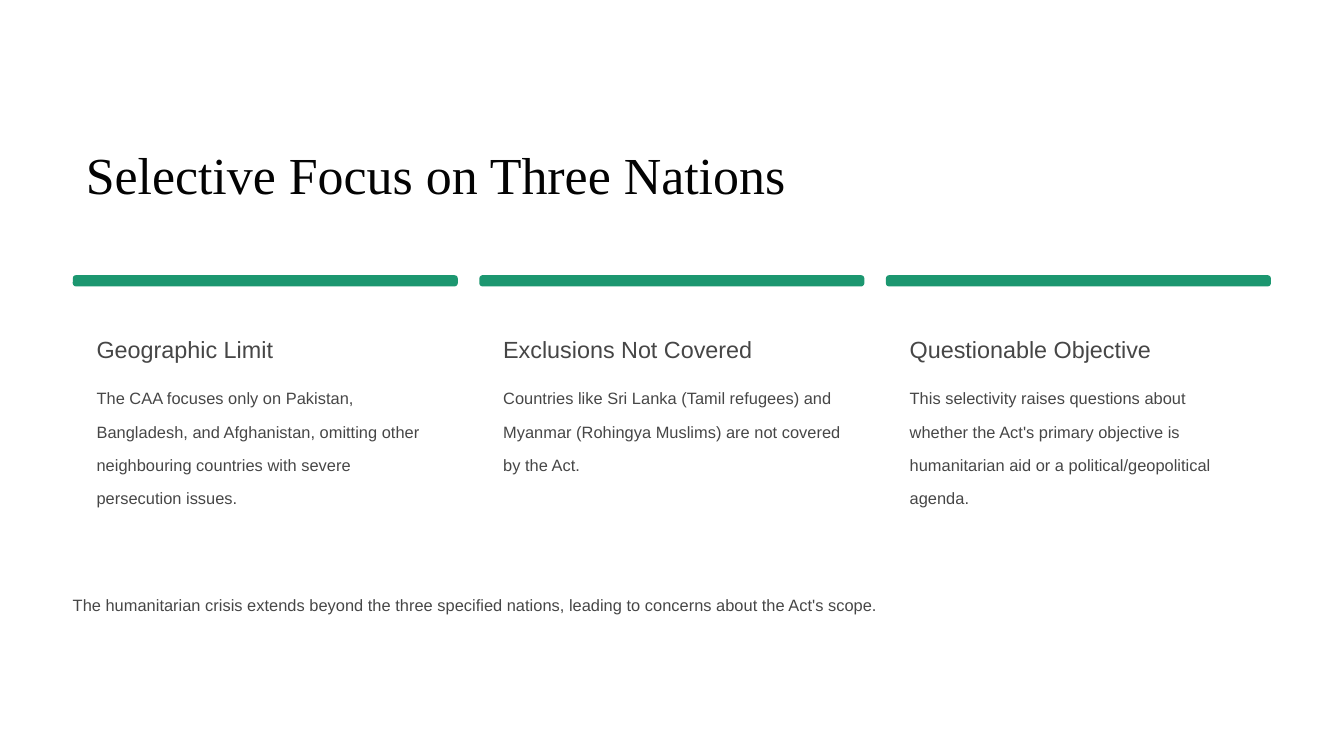
"""Build the slide about the Act's selective focus on three nations."""
from pptx import Presentation
from pptx import util as u
from pptx.dml.color import RGBColor
from pptx.enum import shapes, text

COLOURS = {"title": "030303", "body": "464646", "bar": "1C9770"}
LEFT, COLUMN_PITCH, COLUMN_WIDTH, INDENT = 52, 290.4, 275, 17
COLUMNS = [
    ("Geographic Limit",
     "The CAA focuses only on Pakistan, Bangladesh, and Afghanistan, "
     "omitting other neighbouring countries with severe persecution issues."),
    ("Exclusions Not Covered",
     "Countries like Sri Lanka (Tamil refugees) and Myanmar "
     "(Rohingya Muslims) are not covered by the Act."),
    ("Questionable Objective",
     "This selectivity raises questions about whether the Act's primary "
     "objective is humanitarian aid or a political/geopolitical agenda."),
]
CLOSING = ("The humanitarian crisis extends beyond the three specified nations, "
           "leading to concerns about the Act's scope.")


def write(box, words, size, leading, font="Arial", colour="body", wrap=True):
    frame = box.text_frame
    frame.margin_left = frame.margin_right = 0
    frame.margin_top = frame.margin_bottom = 0
    frame.auto_size = text.MSO_AUTO_SIZE.NONE
    frame.vertical_anchor = text.MSO_ANCHOR.TOP
    frame.word_wrap = wrap
    para = frame.paragraphs[0]
    para.alignment = text.PP_ALIGN.LEFT
    para.line_spacing = u.Pt(leading)
    span = para.add_run()
    span.text = words
    span.font.name = font
    span.font.size = u.Pt(size)
    span.font.color.rgb = RGBColor.from_string(COLOURS[colour])


def add_title(page, words):
    box = page.shapes.title
    box.left, box.top, box.width, box.height = map(u.Pt, (61.3, 100, 593, 47))
    write(box, words, 37.1, 46.2, font="Times New Roman", colour="title", wrap=False)


def add_text(page, words, left, top, width, height, **style):
    box = page.shapes.add_textbox(*map(u.Pt, (left, top, width, height)))
    write(box, words, **style)


def add_bar(page, left):
    bar = page.shapes.add_shape(
        shapes.MSO_SHAPE.ROUNDED_RECTANGLE,
        *map(u.Pt, (left, 196.6, COLUMN_WIDTH, 8)))
    bar.adjustments[0] = 0.28
    bar.shadow.inherit = False
    bar.fill.solid()
    bar.fill.fore_color.rgb = RGBColor.from_string(COLOURS["bar"])
    bar.line.fill.background()


def add_column(page, left, heading, body):
    add_bar(page, left)
    add_text(page, heading, left + INDENT, 236.2, 212, 23,
             size=16.7, leading=22.9, wrap=False)
    add_text(page, body, left + INDENT, 267.8, 242, 119, size=11.7, leading=23.8)


def main():
    deck = Presentation()
    deck.slide_width, deck.slide_height = u.Pt(960), u.Pt(540)
    page = deck.slides.add_slide(deck.slide_layouts.get_by_name("Title Only"))
    add_title(page, "Selective Focus on Three Nations")
    for index, (heading, body) in enumerate(COLUMNS):
        add_column(page, LEFT + index * COLUMN_PITCH, heading, body)
    add_text(page, CLOSING, LEFT, 420.5, 856, 19, size=11.7, leading=18.8, wrap=False)
    deck.save("out.pptx")


if __name__ == "__main__":
    main()
